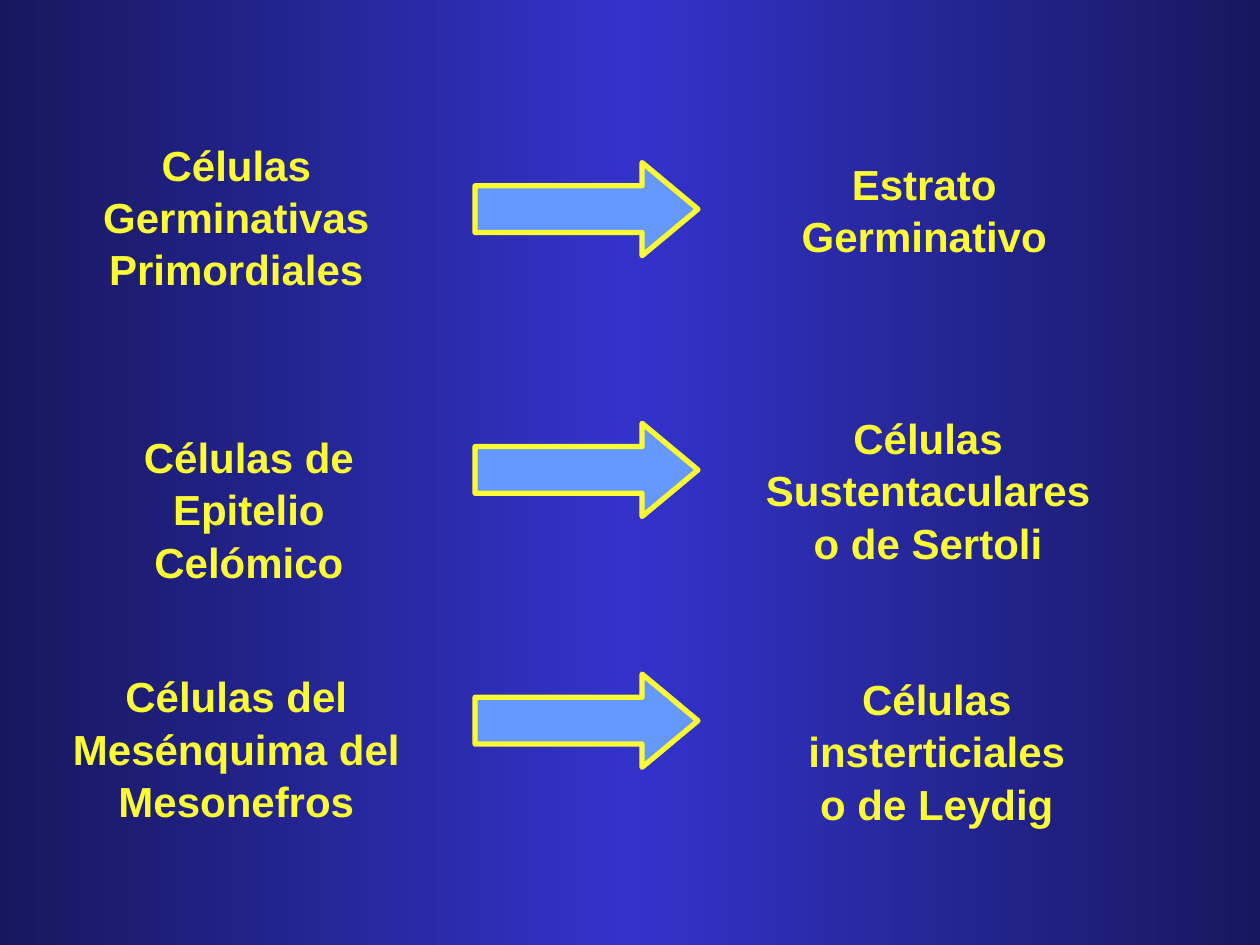
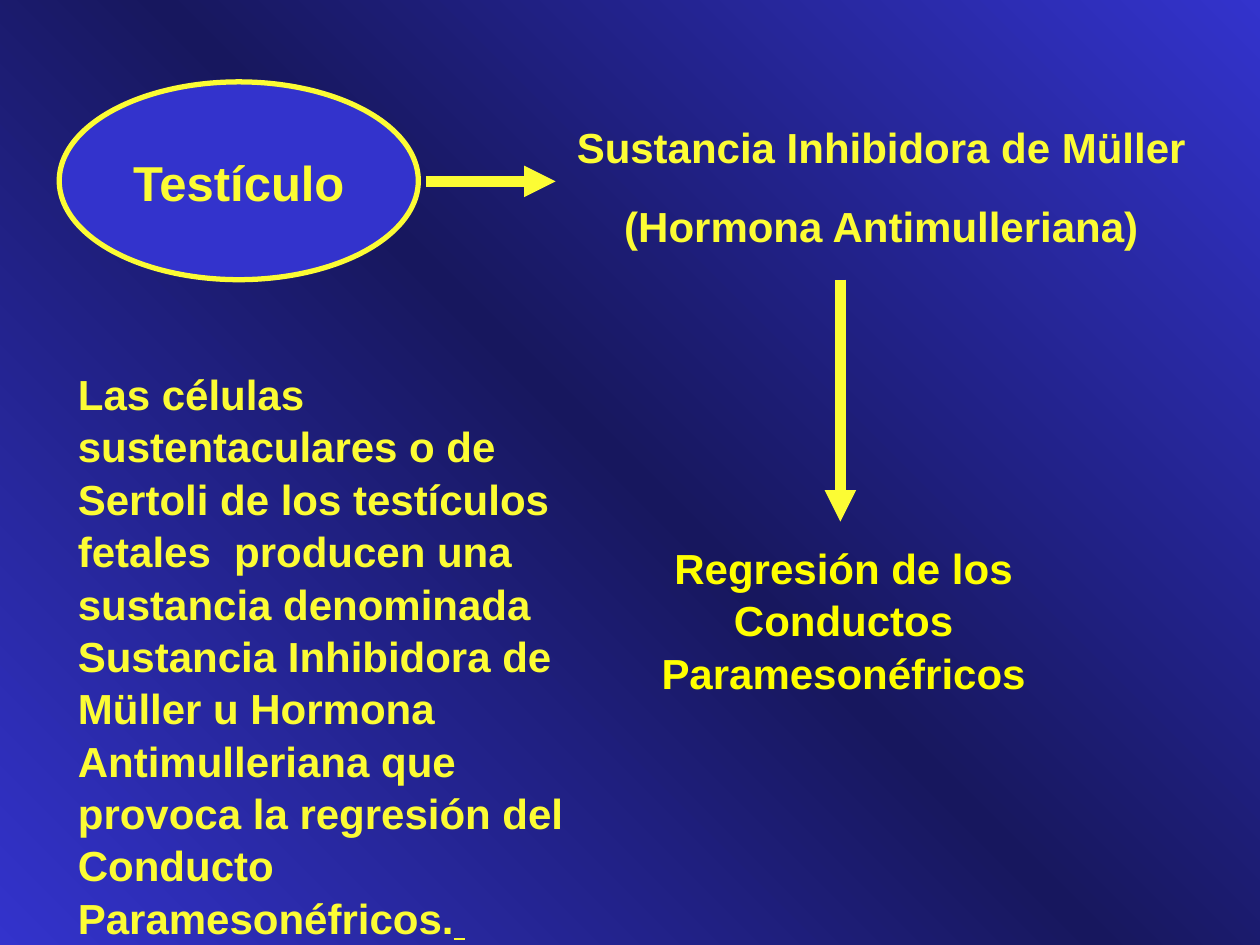
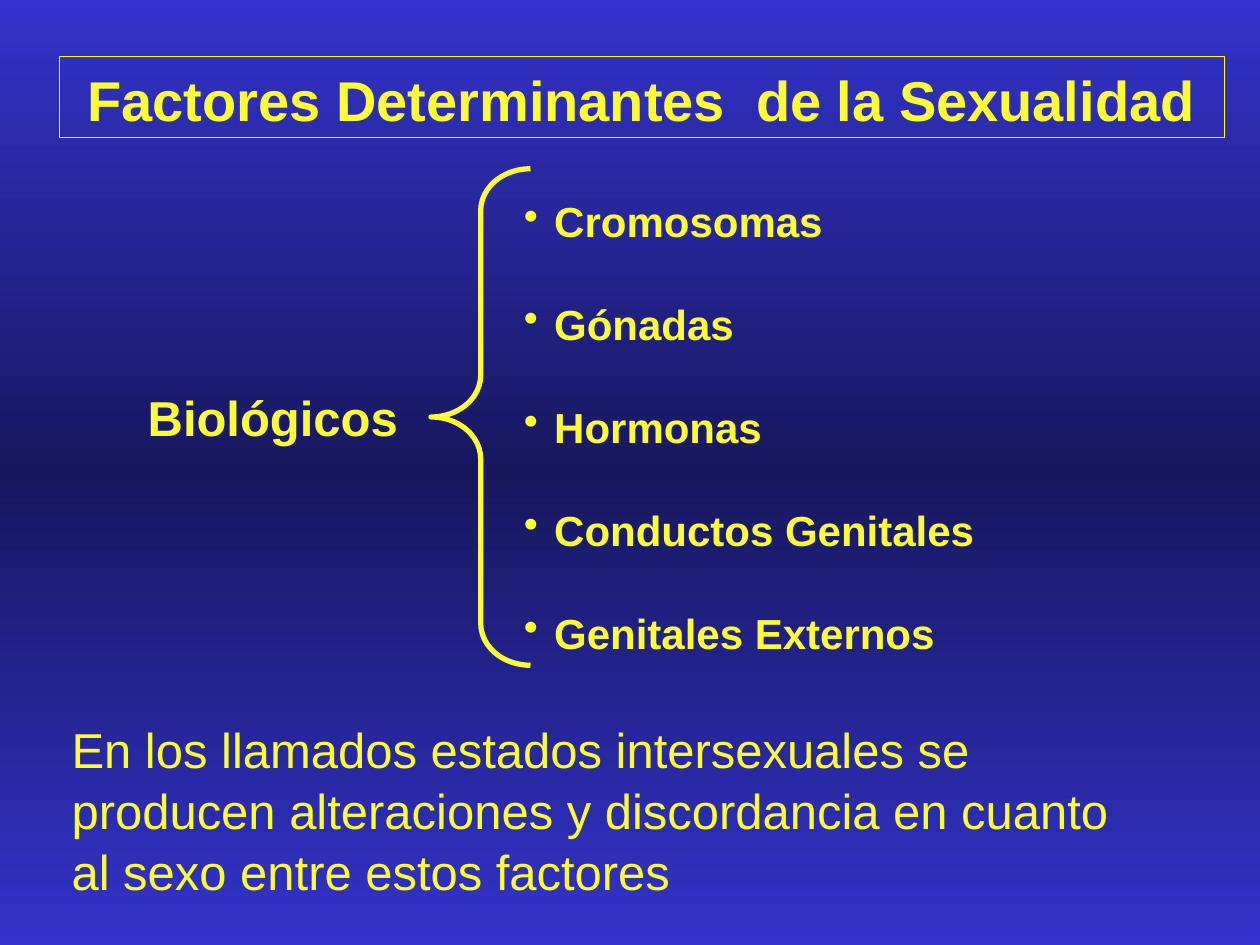
from copy import deepcopy
from pptx import Presentation
from pptx.dml.color import RGBColor
from pptx.enum.shapes import MSO_CONNECTOR as Link, MSO_SHAPE as Form
from pptx.enum.text import MSO_ANCHOR as Anchor, MSO_AUTO_SIZE as Fit, PP_ALIGN as Align
from pptx.oxml.ns import qn
from pptx.util import Inches, Pt

NAVY = RGBColor(0x17, 0x17, 0x5E)
BLUE = RGBColor(0x33, 0x33, 0xCC)
SKY = RGBColor(0x66, 0x99, 0xFF)
LEMON = RGBColor(0xFC, 0xFC, 0x34)
YELLOW = RGBColor(0xFF, 0xFF, 0x00)
FONT = "Arial"
LEAD = 1.04

ORIGINS = [
    ("Células Germinativas Primordiales", (0.57, 1.04, 2.61, 1.3)),
    ("Células de Epitelio Celómico", (0.67, 3.36, 2.61, 1.3)),
    ("Células del Mesénquima del Mesonefros", (0.47, 5.26, 2.81, 1.3)),
]
RESULTS = [
    ("Estrato Germinativo", (6.03, 1.19, 2.61, 0.9)),
    ("Células Sustentaculares o de Sertoli", (5.89, 3.21, 2.95, 1.3)),
    ("Células insterticiales o de Leydig", (6.23, 5.28, 2.41, 1.3)),
]
ARROW_TOPS = [1.29, 3.36, 5.35]

GLAND = "Testículo"
HORMONE = ["Sustancia Inhibidora de Müller", "(Hormona Antimulleriana)"]
EFFECT = "Regresión de los Conductos Paramesonéfricos"
STORY = (
    "Las células sustentaculares o de Sertoli de los testículos fetales  producen "
    "una sustancia denominada Sustancia Inhibidora de Müller u Hormona "
    "Antimulleriana que provoca la regresión del Conducto Paramesonéfricos."
)
LINKS = [((3.38, 1.44), (4.41, 1.44)), ((6.67, 2.22), (6.67, 4.14))]

TITLE = "Factores Determinantes  de la Sexualidad"
GROUP = "Biológicos"
FACTORS = ["Cromosomas", "Gónadas", "Hormonas", "Conductos Genitales", "Genitales Externos"]
CLOSING = (
    "En los llamados estados intersexuales se producen alteraciones y "
    "discordancia en cuanto al sexo entre estos factores"
)

deck = Presentation()
deck.slide_width, deck.slide_height = Inches(10), Inches(7.5)


def new_page(edge, core, angle):
    page = deck.slides.add_slide(deck.slide_layouts[6])
    fill = page.background.fill
    fill.gradient()
    fill.gradient_angle = 360 - angle
    first = next(page._element.iter(qn("a:gs")))
    first.addnext(deepcopy(first))
    for stop, place, color in zip(fill.gradient_stops, (0, 0.5, 1), (edge, core, edge)):
        stop.position = place
        stop.color.rgb = color
    return page


def style(run, size, color=LEMON, bold=True):
    font = run.font
    font.name, font.size, font.bold = FONT, Pt(size), bold
    font.color.rgb = color


def write(shape, lines, size=24, color=LEMON, bold=True, align=Align.CENTER, gap=15):
    frame = shape.text_frame
    frame.text = "\n".join(lines)
    frame.word_wrap = True
    for i, para in enumerate(frame.paragraphs):
        para.alignment = align
        para.line_spacing = LEAD
        if i:
            para.space_before = Pt(gap)
        for run in para.runs:
            style(run, size, color, bold)
    return frame


def add_text(page, box, lines, **look):
    shape = page.shapes.add_textbox(*map(Inches, box))
    frame = write(shape, lines, **look)
    frame.auto_size = Fit.SHAPE_TO_FIT_TEXT
    return frame


def add_form(page, kind, box, fill=None, line=LEMON, width=3):
    shape = page.shapes.add_shape(kind, *map(Inches, box))
    shape.shadow.inherit = False
    if fill is None:
        shape.fill.background()
    else:
        shape.fill.solid()
        shape.fill.fore_color.rgb = fill
    shape.line.color.rgb = line
    shape.line.width = Pt(width)
    return shape


def add_link(page, start, end):
    link = page.shapes.add_connector(Link.STRAIGHT, *map(Inches, start + end))
    link.line.color.rgb = LEMON
    link.line.width = Pt(6)
    tip = link.line._get_or_add_ln().makeelement(qn("a:tailEnd"), {"type": "triangle"})
    link.line._get_or_add_ln().append(tip)
    props = link._element.spPr
    props.append(props.makeelement(qn("a:effectLst"), {}))


def add_bullet(para):
    props = para._p.get_or_add_pPr()
    props.set("marL", str(Inches(0.24)))
    props.set("indent", str(-Inches(0.24)))
    tint = props.makeelement(qn("a:buClr"), {})
    tint.append(tint.makeelement(qn("a:srgbClr"), {"val": str(LEMON)}))
    props.append(tint)
    props.append(props.makeelement(qn("a:buChar"), {"char": "•"}))


def cells_page():
    page = new_page(NAVY, BLUE, 180)
    for text, box in ORIGINS + RESULTS:
        add_text(page, box, [text])
    for top in ARROW_TOPS:
        arrow = add_form(page, Form.RIGHT_ARROW, (3.77, top, 1.77, 0.74), SKY)
        arrow.adjustments[1] = 0.6


def hormone_page():
    page = new_page(BLUE, NAVY, 135)
    gland = add_form(page, Form.OVAL, (0.47, 0.65, 2.85, 1.57), BLUE)
    frame = write(gland, [GLAND], size=28)
    frame.word_wrap = False
    frame.vertical_anchor = Anchor.MIDDLE
    add_text(page, (4.41, 0.9, 5.17, 1.11), HORMONE)
    add_text(page, (4.85, 4.24, 3.69, 1.3), [EFFECT], color=YELLOW)
    for start, end in LINKS:
        add_link(page, start, end)
    story = add_text(page, (0.52, 2.86, 4.23, 4.5), [STORY], align=Align.LEFT)
    tail = story.paragraphs[0].add_run()
    tail.text = " "
    style(tail, 24)
    tail.font.underline = True


def factors_page():
    page = new_page(BLUE, NAVY, 90)
    title = add_form(page, Form.RECTANGLE, (0.47, 0.45, 9.25, 0.64), None, YELLOW, 0.75)
    write(title, [TITLE], size=32).vertical_anchor = Anchor.TOP
    items = add_text(page, (4.06, 1.49, 4.48, 3.7), FACTORS, align=Align.LEFT, gap=28.8)
    for para in items.paragraphs:
        add_bullet(para)
    add_text(page, (0.86, 3.01, 2.61, 0.57), [GROUP], size=28)
    brace = add_form(page, Form.LEFT_BRACE, (3.42, 1.34, 0.79, 3.94))
    brace.adjustments[0] = 0.42
    closing = add_text(page, (0.47, 5.67, 8.76, 1.5), [CLOSING], size=28, bold=False, align=Align.LEFT)
    closing.vertical_anchor = Anchor.MIDDLE


def main():
    cells_page()
    hormone_page()
    factors_page()
    deck.save("out.pptx")


if __name__ == "__main__":
    main()
